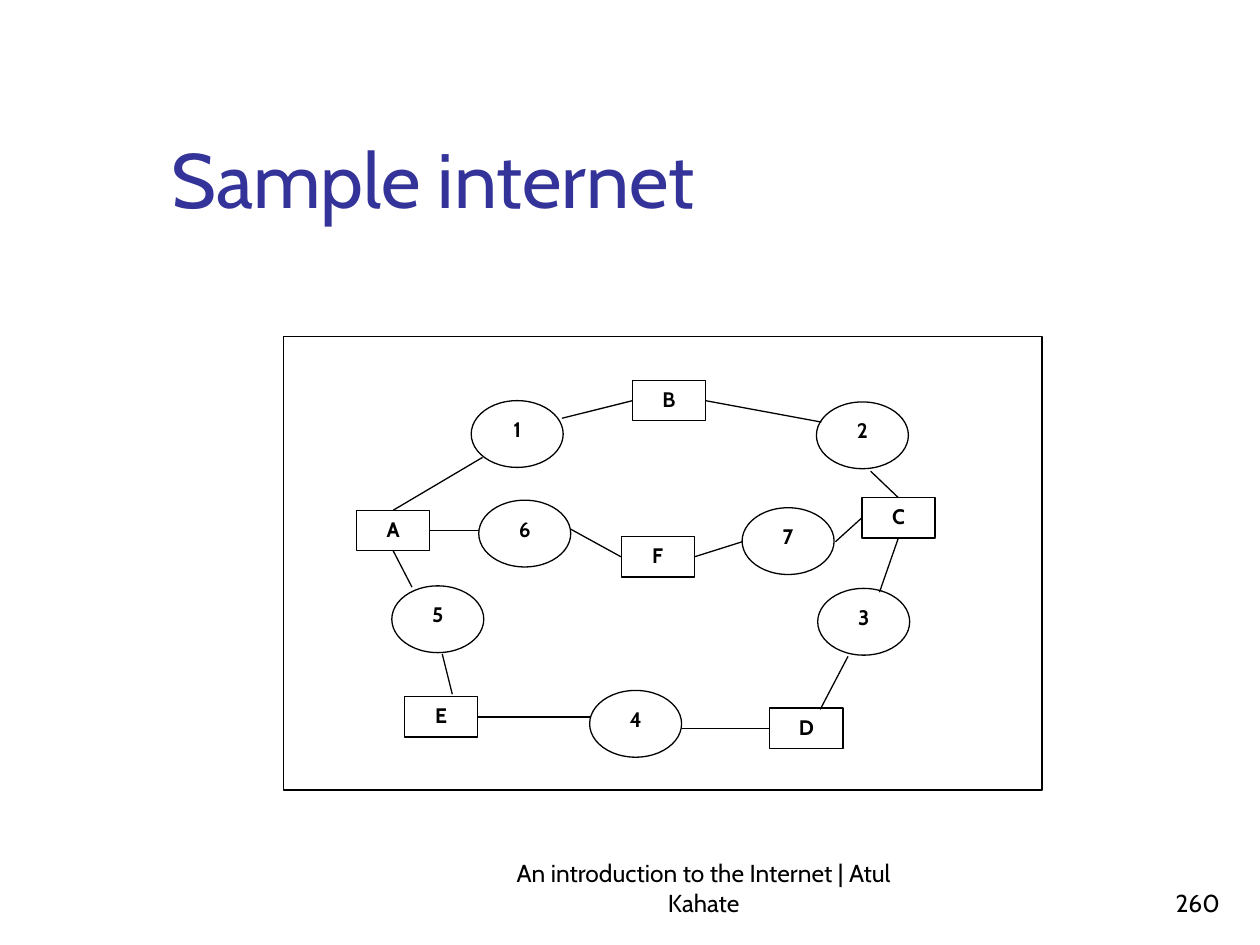
import pptx
import pptx.dml.color
import pptx.enum.shapes
import pptx.enum.text
import pptx.oxml
import pptx.util

Inches = pptx.util.Inches
SHAPES = pptx.enum.shapes.MSO_SHAPE
ANCHOR = pptx.enum.text.MSO_ANCHOR
ALIGN = pptx.enum.text.PP_ALIGN

COLORS = {"paper": "FFFFFF", "ink": "000000", "title": "333399"}
TOP, LEFT, BOTTOM, RIGHT = range(4)
NETWORK_SIZE = (0.58, 0.32)
ROUTER_SIZE = (0.73, 0.53)

NETWORKS = {
    "A": (2.83, 4.05), "B": (5.02, 3.02), "C": (6.84, 3.95),
    "D": (6.11, 5.62), "E": (3.21, 5.53), "F": (4.93, 4.26),
}
ROUTERS = {
    "1": (3.74, 3.18), "2": (6.48, 3.19), "3": (6.49, 4.67), "4": (4.68, 5.48),
    "5": (3.11, 4.65), "6": (3.8, 3.97), "7": (5.89, 4.03),
}
# Network, side of its box, point on the router's outline
JOINED_LINKS = [
    ("A", TOP, (3.83, 3.63)), ("A", RIGHT, (3.8, 4.21)), ("A", BOTTOM, (3.27, 4.66)),
    ("B", LEFT, (4.46, 3.32)), ("B", RIGHT, (6.52, 3.35)),
    ("C", TOP, (6.91, 3.74)), ("C", LEFT, (6.63, 4.3)), ("C", BOTTOM, (6.98, 4.7)),
    ("D", LEFT, (5.41, 5.78)), ("E", RIGHT, (4.68, 5.69)),
    ("F", LEFT, (4.53, 4.2)), ("F", RIGHT, (5.89, 4.3)),
]
# Links that meet a box away from the middle of its side
FREE_LINKS = [((3.59, 5.51), (3.51, 5.19)), ((6.51, 5.63), (6.73, 5.21))]


class Diagram:
    """Holds the drawing style and the slide being filled."""

    def __init__(self, slide, font="Cabin", line_width=0.75):
        self.slide = slide
        self.font = font
        self.line_width = pptx.util.Pt(line_width)

    def color(self, name):
        return pptx.dml.color.RGBColor.from_string(COLORS[name])

    def fill_text(self, frame, words, size, align, anchor, color="ink", bold=False):
        frame.word_wrap = True
        frame.vertical_anchor = anchor
        paragraph = frame.paragraphs[0]
        paragraph.alignment = align
        run = paragraph.add_run()
        run.text = words
        run.font.name = self.font
        run.font.size = pptx.util.Pt(size)
        run.font.bold = bold
        run.font.color.rgb = self.color(color)

    def text(self, words, place, size, align, color="ink"):
        box = self.slide.shapes.add_textbox(*map(Inches, place))
        self.fill_text(box.text_frame, words, size, align, ANCHOR.BOTTOM, color)

    def outline(self, kind, place):
        shape = self.slide.shapes.add_shape(kind, *map(Inches, place))
        shape.shadow.inherit = False
        shape.fill.solid()
        shape.fill.fore_color.rgb = self.color("paper")
        shape.line.color.rgb = self.color("ink")
        shape.line.width = self.line_width
        return shape

    def node(self, kind, label, corner, size):
        shape = self.outline(kind, corner + size)
        self.fill_text(shape.text_frame, label, 12, ALIGN.CENTER, ANCHOR.TOP, bold=True)
        return shape

    def link(self, start, end):
        line = self.slide.shapes.add_connector(
            pptx.enum.shapes.MSO_CONNECTOR.STRAIGHT, *map(Inches, start + end))
        line.line.color.rgb = self.color("ink")
        line.line.width = self.line_width
        line._element.spPr.append(pptx.oxml.parse_xml(
            '<a:effectLst xmlns:a="http://schemas.openxmlformats.org/drawingml/2006/main"/>'))
        return line


def main():
    presentation = pptx.Presentation()
    presentation.slide_width = Inches(10)
    presentation.slide_height = Inches(7.5)
    diagram = Diagram(presentation.slides.add_slide(presentation.slide_layouts[6]))

    diagram.text("An introduction to the Internet | Atul Kahate",
                 (4, 6.83, 3.17, 0.5), 14, ALIGN.CENTER)
    diagram.text("260", (7.7, 6.83, 2.08, 0.5), 14, ALIGN.RIGHT)
    diagram.text("Sample internet", (1.26, 0.23, 8.52, 1.6), 44, ALIGN.LEFT, "title")

    diagram.outline(SHAPES.RECTANGLE, (2.25, 2.67, 6.02, 3.6))
    networks = {label: diagram.node(SHAPES.RECTANGLE, label, corner, NETWORK_SIZE)
                for label, corner in NETWORKS.items()}
    for label, corner in ROUTERS.items():
        diagram.node(SHAPES.OVAL, label, corner, ROUTER_SIZE)

    for label, side, router_point in JOINED_LINKS:
        link = diagram.link(NETWORKS[label], router_point)
        link.begin_connect(networks[label], side)
    for network_point, router_point in FREE_LINKS:
        diagram.link(network_point, router_point)

    presentation.save("out.pptx")


if __name__ == "__main__":
    main()
